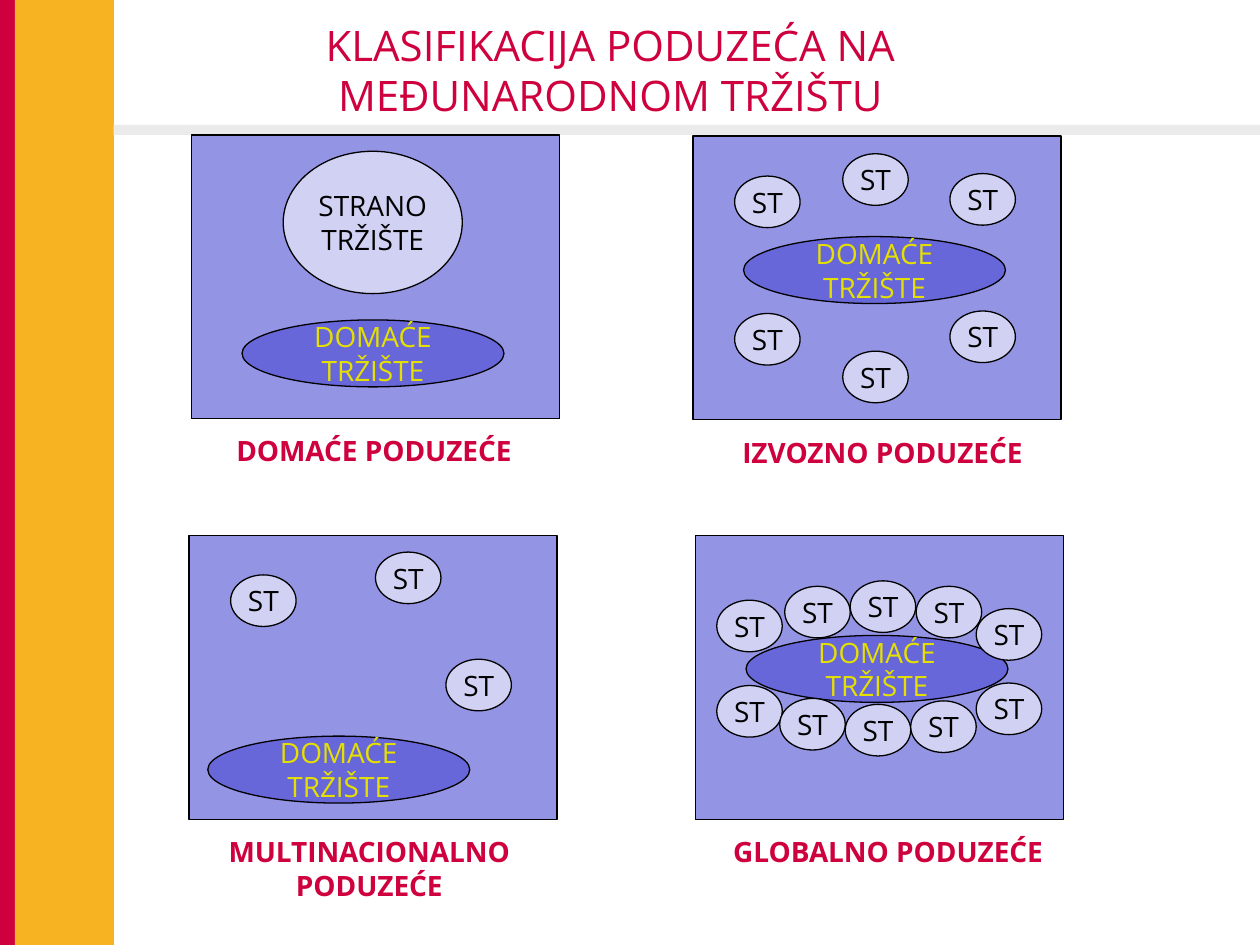
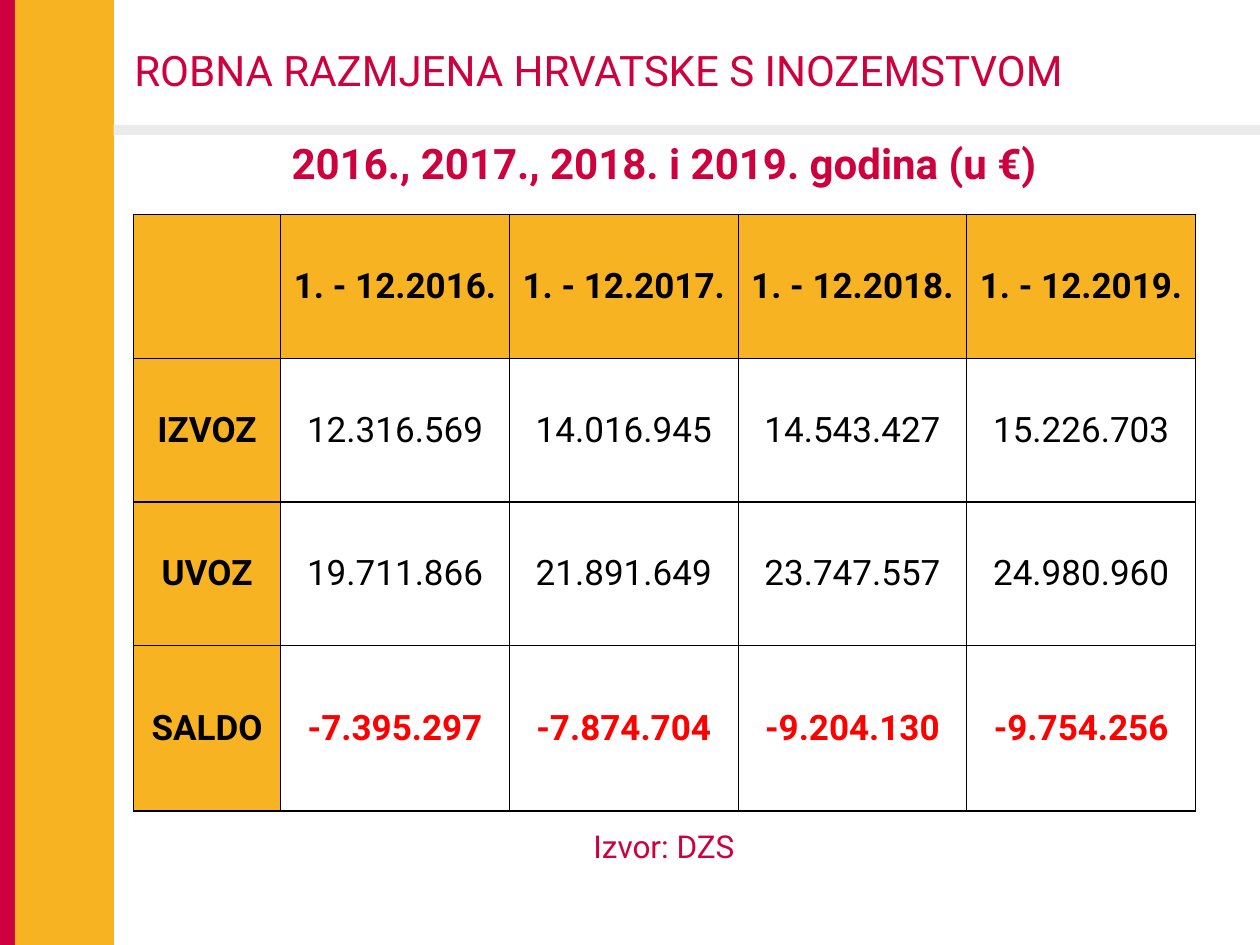
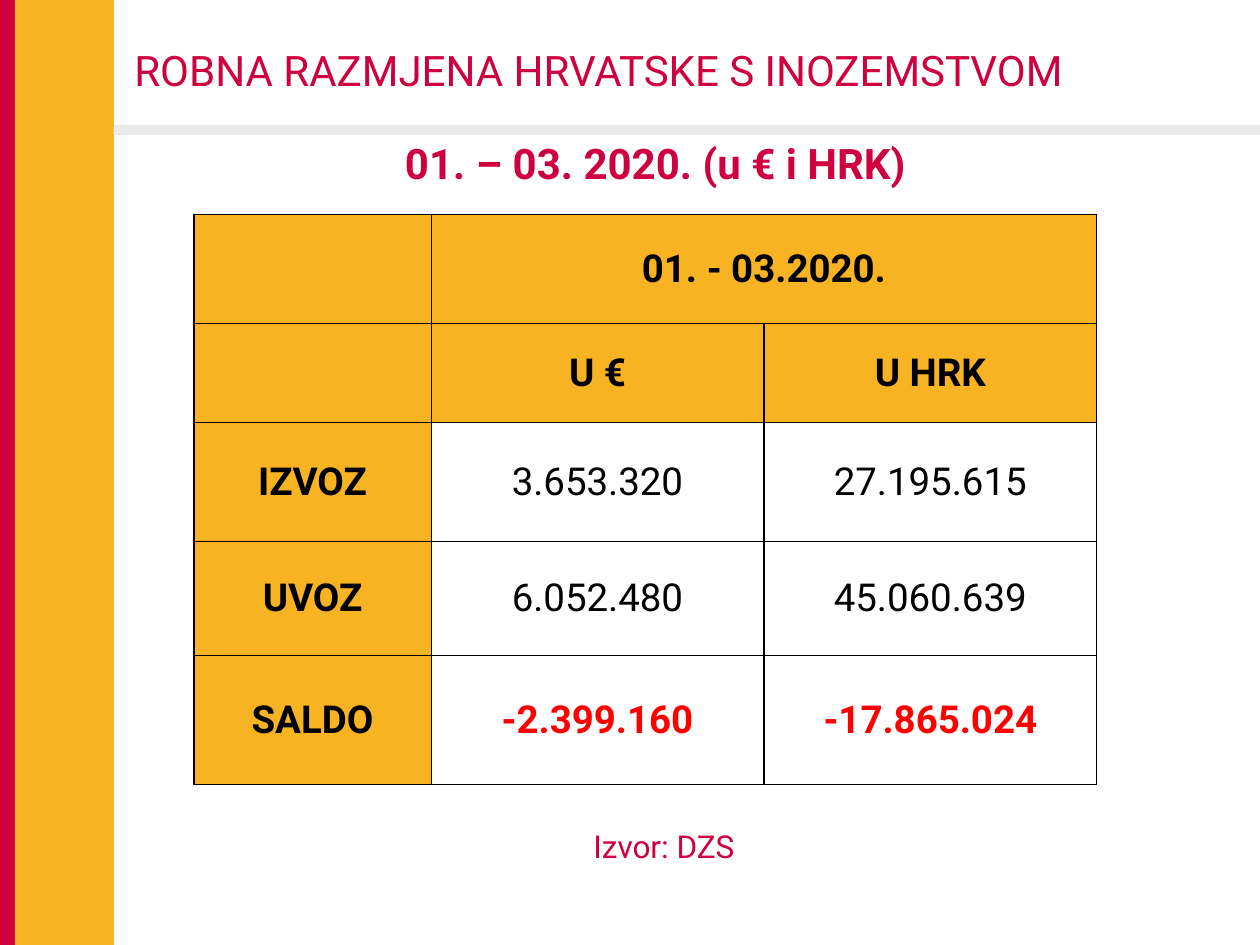
"""Build three slides on company types and Croatian foreign trade."""
from lxml.etree import SubElement
from pptx import Presentation
from pptx.dml.color import RGBColor
from pptx.enum.shapes import MSO_SHAPE as Shape
from pptx.enum.text import MSO_ANCHOR as Anchor, PP_ALIGN as Align
from pptx.oxml.ns import qn
from pptx.util import Cm, Pt

RED, GOLD, GRAY, BLACK = "CE003D", "F8B323", "EBEBEC", "000000"
PANEL, FOREIGN, DOMESTIC, YELLOW = "9494E4", "D1D1F3", "6767D9", "E5E000"
NEGATIVE = "FF0000"
color_of = RGBColor.from_string


def write_text(frame, text, size=16, color=RED, bold=False, font="Roboto",
               align=Align.CENTER, anchor=Anchor.MIDDLE, wrap=True, margin=None):
    frame.word_wrap = wrap
    frame.vertical_anchor = anchor
    if margin is not None:
        frame.margin_left = frame.margin_right = Cm(margin)
        frame.margin_top = frame.margin_bottom = Cm(margin)
    paragraph = frame.paragraphs[0]
    paragraph.alignment = align
    run = paragraph.add_run()
    run.text = text
    run.font.name = font
    run.font.size = Pt(size)
    run.font.bold = bold
    run.font.color.rgb = color_of(color)


def add_filled(slide, kind, left, top, width, height, fill, outlined=True):
    shape = slide.shapes.add_shape(kind, Cm(left), Cm(top), Cm(width), Cm(height))
    shape.shadow.inherit = False
    shape.fill.solid()
    shape.fill.fore_color.rgb = color_of(fill)
    if outlined:
        shape.line.color.rgb = color_of(BLACK)
        shape.line.width = Pt(0.75)
    else:
        shape.line.fill.background()
    return shape


presentation = Presentation()
presentation.slide_width, presentation.slide_height = Cm(25.4), Cm(19.05)

trade_title = "ROBNA RAZMJENA HRVATSKE S INOZEMSTVOM"
titles = [
    ("KLASIFIKACIJA PODUZEĆA NA MEĐUNARODNOM TRŽIŠTU", "Open Sans", Align.CENTER, 2.49, 19.63),
    (trade_title, "Roboto", Align.LEFT, 2.46, 20.22),
    (trade_title, "Roboto", Align.LEFT, 2.46, 19.63),
]
bands = [(0, 0, 0.3, 19.1, RED), (0.3, 0, 2, 19.1, GOLD), (2.29, 2.52, 23.11, 0.2, GRAY)]

for title, font, align, left, width in titles:
    slide = presentation.slides.add_slide(presentation.slide_layouts[6])
    for band in bands:
        add_filled(slide, Shape.RECTANGLE, *band, outlined=False)
    title_box = slide.shapes.add_textbox(Cm(left), Cm(0.53), Cm(width), Cm(1.75))
    write_text(title_box.text_frame, title, size=24, font=font, align=align)

companies_slide, *trade_slides = presentation.slides

market_size = (1.32, 1.04)
companies = [
    {"name": "DOMAĆE PODUZEĆE", "caption": (4.24, 8.51, 6.6, 1.12),
     "corner": (3.86, 2.72), "domestic": (1.02, 3.73),
     "foreign": "STRANO TRŽIŠTE", "size": (3.61, 2.87), "markets": [(1.85, 0.33)]},
    {"name": "IZVOZNO PODUZEĆE", "caption": (14.27, 8.51, 7.04, 1.22),
     "corner": (13.97, 2.74), "domestic": (1.02, 2.03),
     "foreign": "ST", "size": market_size,
     "markets": [(0.84, 0.81), (3.02, 0.36), (5.18, 0.76),
                 (0.84, 3.58), (3.02, 4.34), (5.18, 3.53)]},
    {"name": "GLOBALNO PODUZEĆE", "caption": (14.22, 16.56, 7.37, 1.22),
     "corner": (14.02, 10.8), "domestic": (1.02, 2.01),
     "foreign": "ST", "size": market_size,
     "markets": [(0.43, 1.3), (1.8, 1.02), (3.12, 0.91), (5.66, 1.47), (4.45, 1.02),
                 (0.43, 3.02), (1.7, 3.28), (3.02, 3.4), (5.66, 2.97), (4.34, 3.33)]},
    {"name": "MULTINACIONALNO PODUZEĆE", "caption": (3.76, 16.89, 7.37, 1.22),
     "corner": (3.81, 10.8), "domestic": (0.38, 4.04),
     "foreign": "ST", "size": market_size,
     "markets": [(0.84, 0.79), (3.76, 0.33), (5.18, 2.49)]},
]

for company in companies:
    left, top = company["corner"]
    add_filled(companies_slide, Shape.RECTANGLE, left, top, 7.42, 5.72, PANEL)
    ellipses = [(company["domestic"], (5.28, 1.35), DOMESTIC, "DOMAĆE TRŽIŠTE", YELLOW)]
    ellipses += [(offset, company["size"], FOREIGN, company["foreign"], BLACK)
                 for offset in company["markets"]]
    for (across, down), size, fill, label, color in ellipses:
        market = add_filled(companies_slide, Shape.OVAL, left + across, top + down, *size, fill)
        write_text(market.text_frame, label, color=color, font="Open Sans", margin=0)
    caption = companies_slide.shapes.add_textbox(*map(Cm, company["caption"]))
    write_text(caption.text_frame, company["name"], bold=True, font="Open Sans", margin=0)

trades = [
    {"period": "2016., 2017., 2018. i 2019. godina (u €)", "period_at": (5.49, 15.8),
     "left": 2.69, "size": 20, "headers": 1,
     "columns": [2.97] + [4.61] * 4, "heights": [2.9, 2.9, 2.9, 3.33],
     "rows": [["", "1. - 12.2016.", "1. - 12.2017.", "1. - 12.2018.", "1. - 12.2019."],
              ["IZVOZ", "12.316.569", "14.016.945", "14.543.427", "15.226.703"],
              ["UVOZ", "19.711.866", "21.891.649", "23.747.557", "24.980.960"],
              ["SALDO", "-7.395.297", "-7.874.704", "-9.204.130", "-9.754.256"]]},
    {"period": "01. – 03. 2020. (u € i HRK)", "period_at": (7.8, 10.82),
     "left": 3.91, "size": 22, "headers": 2,
     "columns": [4.78, 6.71, 6.71], "heights": [2.2, 2, 2.4, 2.3, 2.59],
     "rows": [["", "01. - 03.2020.", ""],
              ["", "U €", "U HRK"],
              ["IZVOZ", "3.653.320", "27.195.615"],
              ["UVOZ", "6.052.480", "45.060.639"],
              ["SALDO", "-2.399.160", "-17.865.024"]]},
]

for slide, trade in zip(trade_slides, trades):
    columns, heights, rows = trade["columns"], trade["heights"], trade["rows"]
    table = slide.shapes.add_table(len(rows), len(columns), Cm(trade["left"]), Cm(4.32),
                                   Cm(sum(columns)), Cm(sum(heights))).table
    table.first_row = table.horz_banding = False
    for column, width in zip(table.columns, columns):
        column.width = Cm(width)
    for row, height in zip(table.rows, heights):
        row.height = Cm(height)
    for row_index, values in enumerate(rows):
        for column_index, value in enumerate(values):
            cell = table.cell(row_index, column_index)
            cell.margin_left = cell.margin_right = Cm(0.2)
            cell.vertical_anchor = Anchor.MIDDLE
            properties = cell._tc.get_or_add_tcPr()
            for side in ("a:lnL", "a:lnR", "a:lnT", "a:lnB"):
                border = SubElement(properties, qn(side), w=str(Pt(0.75)))
                SubElement(SubElement(border, qn("a:solidFill")), qn("a:srgbClr"), val=BLACK)
            heading = row_index < trade["headers"] or column_index == 0
            if heading:
                cell.fill.solid()
                cell.fill.fore_color.rgb = color_of(GOLD)
            else:
                cell.fill.background()
            if value:
                negative = value.startswith("-")
                write_text(cell.text_frame, value, size=trade["size"],
                           color=NEGATIVE if negative else BLACK, bold=heading or negative)
    if trade["headers"] == 2:
        table.cell(0, 1).merge(table.cell(0, 2))

    period_left, period_width = trade["period_at"]
    notes = [(trade["period"], period_left, 2.64, period_width, 1.27, 24, True),
             ("Izvor: DZS", 11.53, 16.54, 3.71, 1.12, 18, False)]
    for text, left, top, width, height, size, bold in notes:
        note = slide.shapes.add_textbox(Cm(left), Cm(top), Cm(width), Cm(height))
        write_text(note.text_frame, text, size=size, bold=bold, anchor=Anchor.TOP, wrap=False)

presentation.save("out.pptx")
